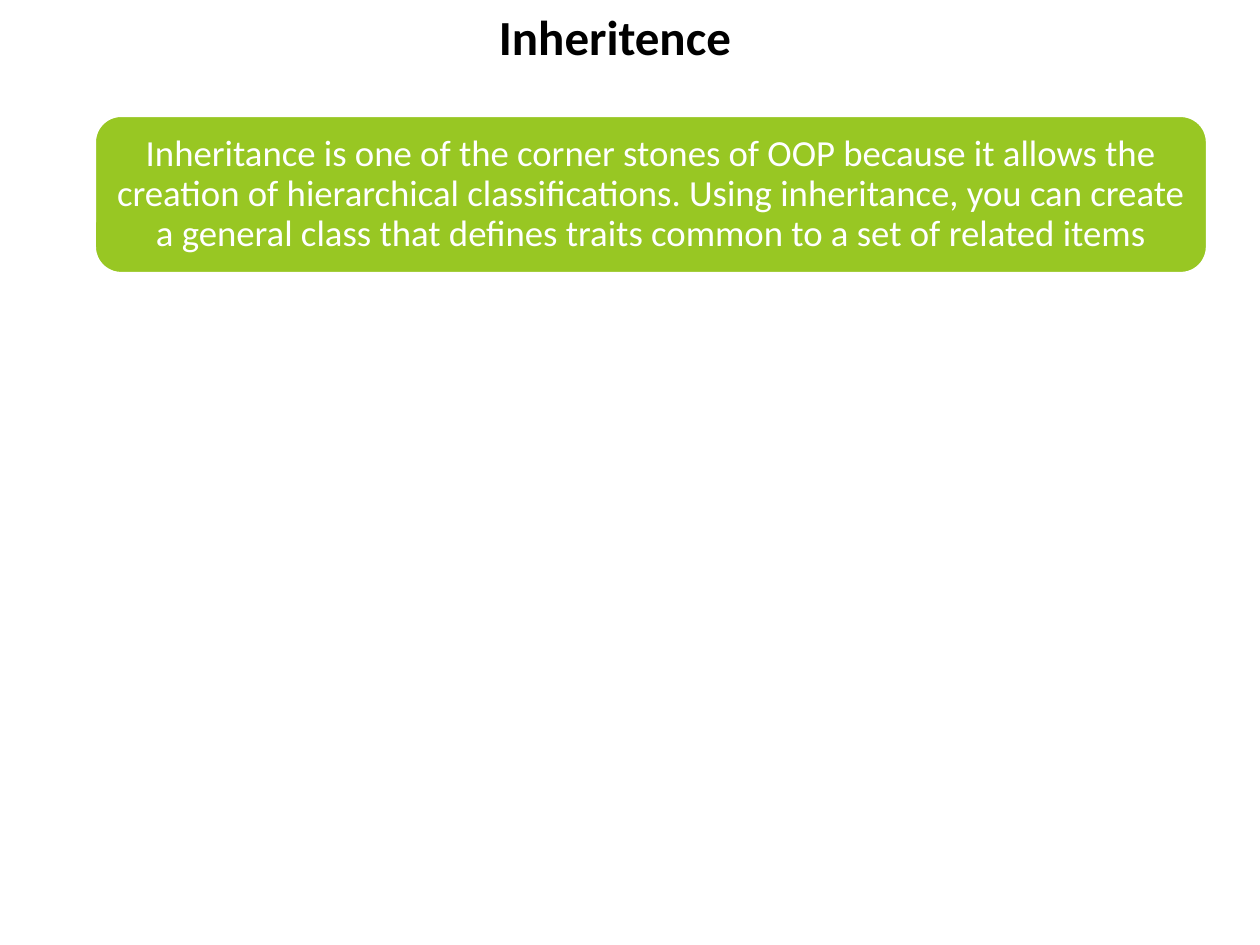
from pptx import Presentation
from pptx.dml.color import RGBColor
from pptx.enum.shapes import MSO_SHAPE
from pptx.enum.text import MSO_ANCHOR, PP_ALIGN
from pptx.util import Pt

ROUNDED = MSO_SHAPE.ROUNDED_RECTANGLE
TOP, MIDDLE = MSO_ANCHOR.TOP, MSO_ANCHOR.MIDDLE
CENTER = PP_ALIGN.CENTER

PX = 914400 // 126  # EMU per pixel

THEME = {
    "font": "Calibri",
    "green": RGBColor(0x98, 0xC7, 0x23),
    "white": RGBColor(0xFF, 0xFF, 0xFF),
    "black": RGBColor(0x00, 0x00, 0x00),
    "title_size": Pt(28),
    "body_size": Pt(21),
    "outline": Pt(1.25),
}


def write_text(shape, text, size, color, anchor, bold=False):
    frame = shape.text_frame
    frame.word_wrap = True
    frame.vertical_anchor = anchor
    frame.text = text
    para = frame.paragraphs[0]
    para.alignment = CENTER
    font = para.runs[0].font
    font.name = THEME["font"]
    font.size = size
    font.bold = bold
    font.color.rgb = color
    return frame


deck = Presentation()
deck.slide_width, deck.slide_height = 1260 * PX, 945 * PX
page = deck.slides.add_slide(deck.slide_layouts[6])

# Definition panel
panel = page.shapes.add_shape(ROUNDED, 95 * PX, 116 * PX, 1112 * PX, 157 * PX)
panel.shadow.inherit = False
panel.fill.solid()
panel.fill.fore_color.rgb = THEME["green"]
panel.line.color.rgb = THEME["white"]
panel.line.width = THEME["outline"]
definition = write_text(
    panel,
    "Inheritance is one of the corner stones of OOP because it allows the "
    "creation of hierarchical classifications. Using inheritance, you can "
    "create a general class that defines traits common to a set of related items",
    THEME["body_size"], THEME["white"], MIDDLE,
)
definition.margin_left = definition.margin_right = 11 * PX
definition.margin_top = definition.margin_bottom = 5 * PX
definition.paragraphs[0].line_spacing = 0.9

# Title
title = page.shapes.add_textbox(105 * PX, 0, 1020 * PX, 126 * PX)
write_text(title, "Inheritence", THEME["title_size"], THEME["black"], TOP, bold=True)

deck.save("out.pptx")
